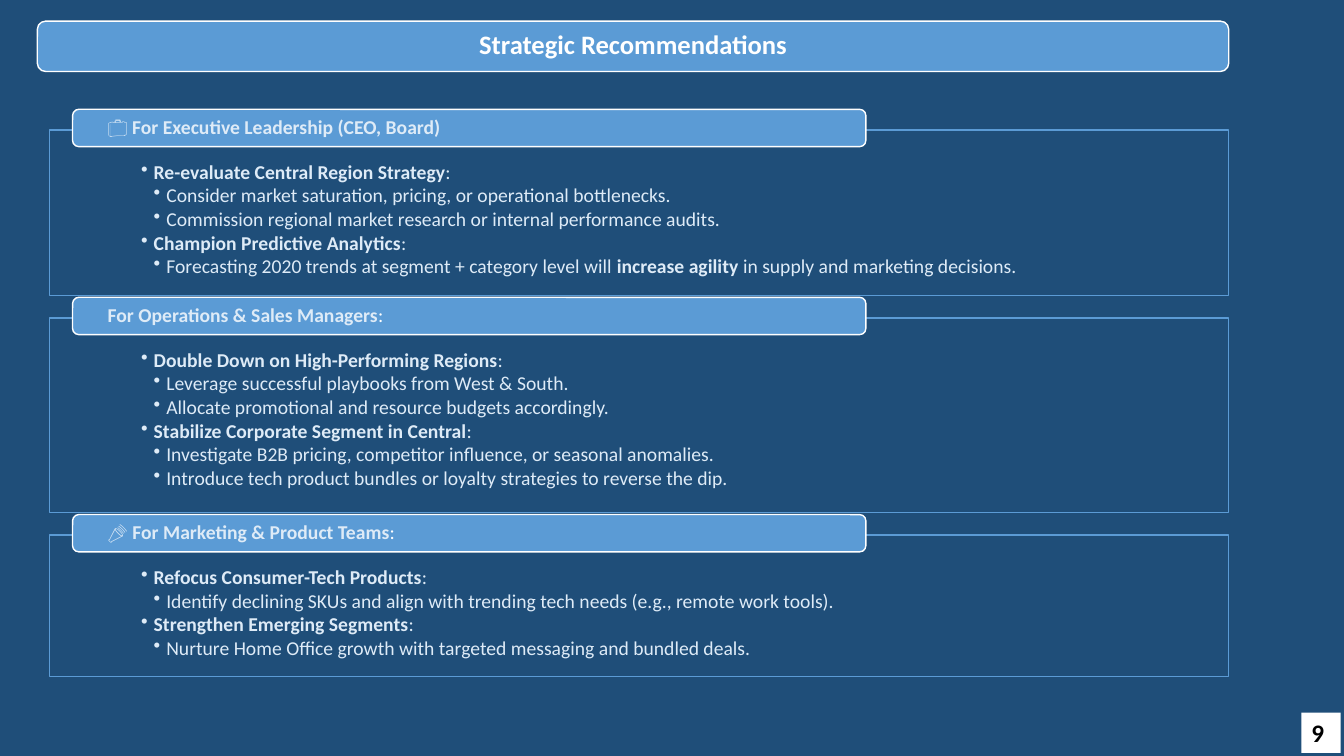
from dataclasses import dataclass
from typing import Optional

from lxml.etree import SubElement
from pptx import Presentation
from pptx.dml.color import RGBColor
from pptx.enum.shapes import MSO_SHAPE as Shape
from pptx.enum.text import MSO_ANCHOR as Anchor, PP_ALIGN as Align
from pptx.oxml.ns import qn
from pptx.util import Inches, Pt

WIDTH, HEIGHT = Inches(13.33), Inches(7.5)
COLUMNS, ROWS = 160, 90
NAVY, BLUE, PALE, WHITE, BLACK = "1F4E79", "5B9BD5", "DEEBF7", "FFFFFF", "000000"

# Panel grid, in columns and rows
PANEL_LEFT, PANEL_WIDTH, PANEL_TOP, PANEL_GAP = 5.88, 140.4, 15.48, 2.7
TAB_LEFT, TAB_WIDTH, TAB_HEIGHT, TAB_RAISE = 8.64, 94.44, 4.44, 2.46
BULLET_STEP = 1.5


@dataclass
class Section:
    heading: str
    rows: float
    points: list[tuple[int, str]]  # level and text, with *bold* spans


@dataclass
class TextStyle:
    size: float = 14
    bold_color: str = PALE
    plain_color: str = PALE
    align: Align = Align.LEFT
    anchor: Anchor = Anchor.MIDDLE
    insets: tuple[float, float, float, float] = (1, 1, 1, 1)
    line_spacing: float = 0.9
    space_after: float = 0


SECTIONS = [
    Section("*💼 For Executive Leadership (CEO, Board)*", 19.68, [
        (1, "*Re-evaluate Central Region Strategy*:"),
        (2, "Consider market saturation, pricing, or operational bottlenecks."),
        (2, "Commission regional market research or internal performance audits."),
        (1, "*Champion Predictive Analytics*:"),
        (2, "Forecasting 2020 trends at segment + category level will "
            "*increase agility* in supply and marketing decisions."),
    ]),
    Section("*For Operations & Sales Managers*:", 23.16, [
        (1, "*Double Down on High-Performing Regions*:"),
        (2, "Leverage successful playbooks from West & South."),
        (2, "Allocate promotional and resource budgets accordingly."),
        (1, "*Stabilize Corporate Segment in Central*:"),
        (2, "Investigate B2B pricing, competitor influence, or seasonal anomalies."),
        (2, "Introduce tech product bundles or loyalty strategies to reverse the dip."),
    ]),
    Section("*📣 For Marketing & Product Teams*:", 16.8, [
        (1, "*Refocus Consumer-Tech Products*:"),
        (2, "Identify declining SKUs and align with trending tech needs "
            "(e.g., remote work tools)."),
        (1, "*Strengthen Emerging Segments*:"),
        (2, "Nurture Home Office growth with targeted messaging and bundled deals."),
    ]),
]

TITLE_STYLE = TextStyle(19, WHITE, align=Align.CENTER)
TAB_STYLE = TextStyle(plain_color=WHITE, insets=(3.96, 0, 3.96, 0))
BODY_STYLE = TextStyle(anchor=Anchor.TOP, insets=(10.92, 3.84, 10.92, 1.32),
                       space_after=1.75)
NUMBER_STYLE = TextStyle(18, BLACK, anchor=Anchor.TOP,
                         insets=(1.2, 0.6, 1.2, 0.6), line_spacing=1)


def color(value: str) -> RGBColor:
    return RGBColor.from_string(value)


def across(columns: float) -> int:
    return round(WIDTH * columns / COLUMNS)


def down(rows: float) -> int:
    return round(HEIGHT * rows / ROWS)


def apply(target, values: dict) -> None:
    for name, value in values.items():
        setattr(target, name, value)


def add_box(page, kind: Shape, left: float, top: float, width: float, height: float,
            fill: Optional[str] = None, line: Optional[str] = None):
    box = page.shapes.add_shape(kind, across(left), down(top), across(width), down(height))
    box.shadow.inherit = False
    if fill:
        box.fill.solid()
        box.fill.fore_color.rgb = color(fill)
    else:
        box.fill.background()
    if line:
        box.line.color.rgb = color(line)
        box.line.width = Pt(1)
    else:
        box.line.fill.background()
    return box


def add_bullet(para, level: int) -> None:
    properties = para._p.get_or_add_pPr()
    properties.set("marL", str(across(BULLET_STEP * level)))
    properties.set("indent", str(-across(BULLET_STEP)))
    SubElement(properties, qn("a:buChar")).set("char", "•")


def write(box, points: list[tuple[int, str]], style: TextStyle) -> None:
    """Fill a box with paragraphs; level 0 has no bullet."""
    frame = box.text_frame
    left, top, right, bottom = style.insets
    apply(frame, {"word_wrap": True, "vertical_anchor": style.anchor,
                  "margin_left": across(left), "margin_right": across(right),
                  "margin_top": down(top), "margin_bottom": down(bottom)})
    for index, (level, text) in enumerate(points):
        para = frame.add_paragraph() if index else frame.paragraphs[0]
        apply(para, {"alignment": style.align, "level": level,
                     "line_spacing": style.line_spacing,
                     "space_after": Pt(style.space_after)})
        if level:
            add_bullet(para, level)
        for order, part in enumerate(text.split("*")):
            if not part:
                continue
            bold = order % 2 == 1
            span = para.add_run()
            span.text = part
            apply(span.font, {"name": "Calibri", "size": Pt(style.size), "bold": bold})
            span.font.color.rgb = color(style.bold_color if bold else style.plain_color)


def add_section(page, section: Section, top: float) -> None:
    panel = add_box(page, Shape.RECTANGLE, PANEL_LEFT, top, PANEL_WIDTH,
                    section.rows, line=BLUE)
    write(panel, section.points, BODY_STYLE)
    tab = add_box(page, Shape.ROUNDED_RECTANGLE, TAB_LEFT, top - TAB_RAISE,
                  TAB_WIDTH, TAB_HEIGHT, BLUE, WHITE)
    write(tab, [(0, section.heading)], TAB_STYLE)


def main() -> None:
    deck = Presentation()
    apply(deck, {"slide_width": WIDTH, "slide_height": HEIGHT})
    page = deck.slides.add_slide(deck.slide_layouts[6])
    page.background.fill.solid()
    page.background.fill.fore_color.rgb = color(NAVY)

    # Audience sections, stacked with equal gaps
    top = PANEL_TOP
    for section in SECTIONS:
        add_section(page, section, top)
        top += section.rows + PANEL_GAP

    # Title bar
    title = add_box(page, Shape.ROUNDED_RECTANGLE, 4.44, 2.52, 141.84, 6, BLUE, WHITE)
    write(title, [(0, "*Strategic Recommendations*")], TITLE_STYLE)

    # Page number
    number = add_box(page, Shape.RECTANGLE, 154.92, 84.84, 4.68, 4.8, WHITE)
    write(number, [(0, "*9*")], NUMBER_STYLE)

    deck.save("out.pptx")


if __name__ == "__main__":
    main()
